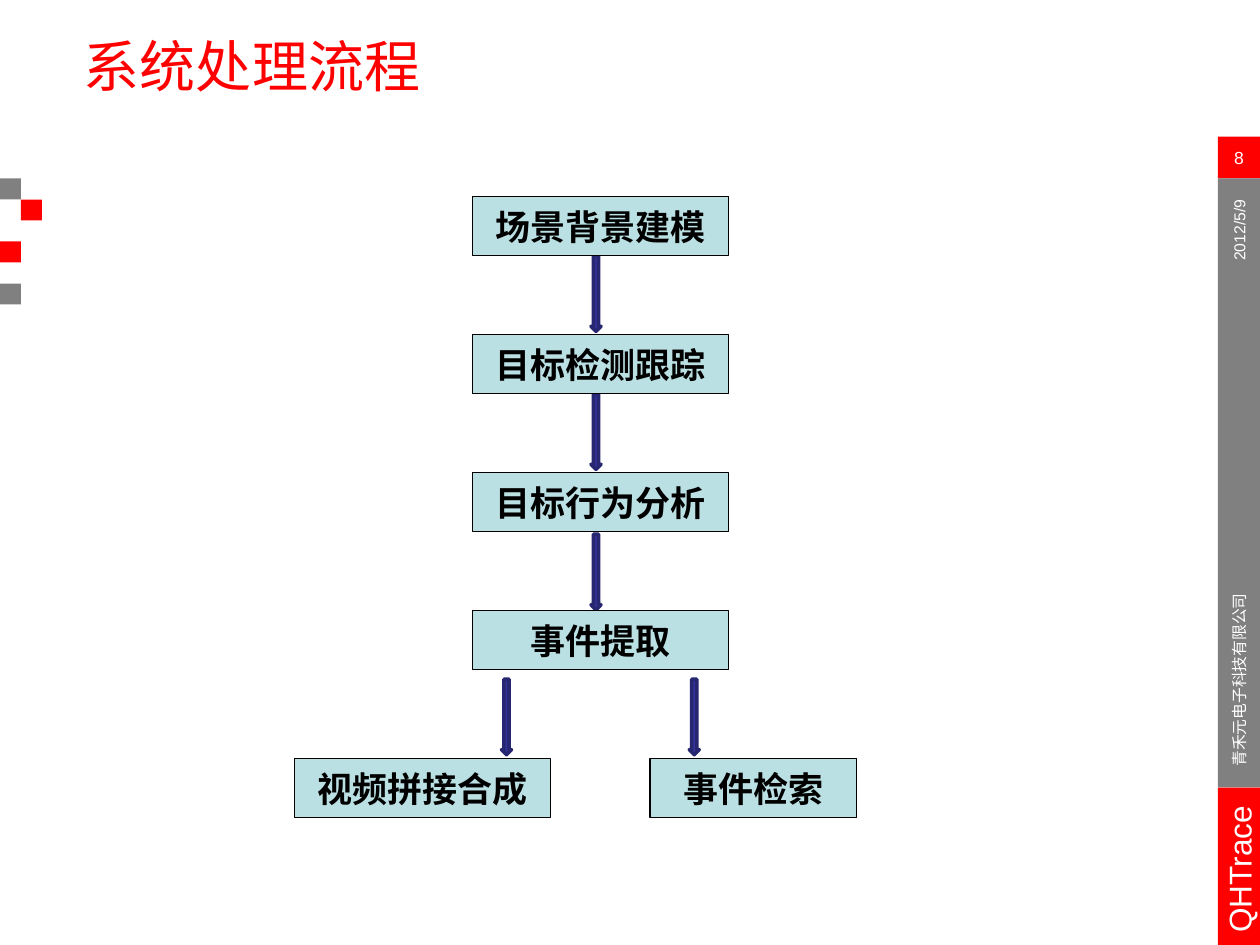
from pptx import Presentation
from pptx.dml.color import RGBColor
from pptx.enum.shapes import MSO_SHAPE
from pptx.enum.text import MSO_ANCHOR, PP_ALIGN
from pptx.util import Inches, Pt

RECT, ARROW = MSO_SHAPE.RECTANGLE, MSO_SHAPE.DOWN_ARROW
TOP, MID = MSO_ANCHOR.TOP, MSO_ANCHOR.MIDDLE
LEFT, MIDDLE, RIGHT = PP_ALIGN.LEFT, PP_ALIGN.CENTER, PP_ALIGN.RIGHT
WIDE, HIGH = 10, 7.5
CELL = WIDE / 60
RED, GREY, WHITE, BLACK = "FF0000", "808080", "FFFFFF", "000000"
PALE, BLUE, NAVY = "BBE0E3", "333399", "262671"


def color(code):
    return RGBColor.from_string(code)


def place(box):
    return [Inches(v) for v in box]


def write(shape, text, size, code, align=LEFT, anchor=MID, bold=False, inset=0):
    frame = shape.text_frame
    frame.text = text
    frame.word_wrap = True
    frame.vertical_anchor = anchor
    frame.margin_left = frame.margin_right = Inches(inset)
    frame.margin_top = frame.margin_bottom = Inches(inset / 2)
    para = frame.paragraphs[0]
    para.alignment = align
    font = para.runs[0].font
    font.name, font.size, font.bold = "Arial", Pt(size), bold
    font.color.rgb = color(code)


def draw(slide, kind, box, fill, line=None, width=0.75):
    shape = slide.shapes.add_shape(kind, *place(box))
    shape.shadow.inherit = False
    shape.fill.solid()
    shape.fill.fore_color.rgb = color(fill)
    if line:
        shape.line.color.rgb = color(line)
        shape.line.width = Pt(width)
    else:
        shape.line.fill.background()
    return shape


def upright(slide, box, text, size, align, inset=0):
    left, top, width, height = box
    flat = (left + (width - height) / 2, top + (height - width) / 2, height, width)
    label = slide.shapes.add_textbox(*place(flat))
    label.rotation = 270
    write(label, text, size, WHITE, align, inset=inset)


def heading(slide, box, text):
    title = slide.shapes.title
    title.left, title.top, title.width, title.height = place(box)
    write(title, text, 32, RED, anchor=TOP)


def marks(slide, box):
    left, top, width, height = box
    cell = width / 2
    for col, row, fill in ((0, 0, GREY), (1, 1, RED), (0, 3, RED), (0, 5, GREY)):
        draw(slide, RECT, (left + col * cell, top + row * cell, cell, cell), fill)


def sidebar(slide, box):
    left, top, width, height = box
    row = height / 77
    for start, span, fill in ((0, 4, RED), (4, 58, GREY), (62, 15, RED)):
        part = draw(slide, RECT, (left, top + start * row, width, span * row), fill)
        if start == 0:
            write(part, "8", 10, WHITE, MIDDLE)
    upright(slide, (left, top + 6 * row, width, 16 * row), "2012/5/9", 9, RIGHT)
    upright(slide, (left, top + 22 * row, width, 38 * row),
            "青禾元电子科技有限公司", 9, LEFT)
    upright(slide, (left, top + 59 * row, width, 18 * row), "QHTrace", 18, LEFT, 0.1)


def flow(slide, box):
    left, top, width, height = box
    tall, wide, step = 0.47, 2.03, 1.095
    main = left + 1.41
    last = top + height - tall
    stem = left + 2.35

    def node(x, y, w, text):
        shape = draw(slide, RECT, (x, y, w, tall), PALE, BLACK)
        write(shape, text, 20, BLACK, MIDDLE, bold=True, inset=0.1)

    def arrow(x, y):
        draw(slide, ARROW, (x, y, 0.08, 0.6), BLUE, NAVY, 2)

    names = ("场景背景建模", "目标检测跟踪", "目标行为分析", "事件提取")
    for i, gap in enumerate((0, 0, 0.02)):
        arrow(stem, top + i * step + tall + gap)
    for i, name in enumerate(names):
        node(main, top + i * step, wide, name)
    ends = (("视频拼接合成", 0, wide, 1.64), ("事件检索", 2.82, 1.64, 3.13))
    for name, x, w, tip in ends:
        arrow(left + tip, last - 0.63)
        node(left + x, last, w, name)


def main():
    deck = Presentation()
    deck.slide_width, deck.slide_height = Inches(WIDE), Inches(HIGH)
    slide = deck.slides.add_slide(deck.slide_layouts[5])
    marks(slide, (0, 8.5 * CELL, 2 * CELL, 6 * CELL))
    sidebar(slide, (58 * CELL, 6.5 * CELL, 2 * CELL, 38.5 * CELL))
    heading(slide, (4 * CELL, 1.5 * CELL, 52 * CELL, 5.5 * CELL), "系统处理流程")
    flow(slide, (2.34, 1.56, 4.46, 4.93))
    deck.save("out.pptx")


if __name__ == "__main__":
    main()
